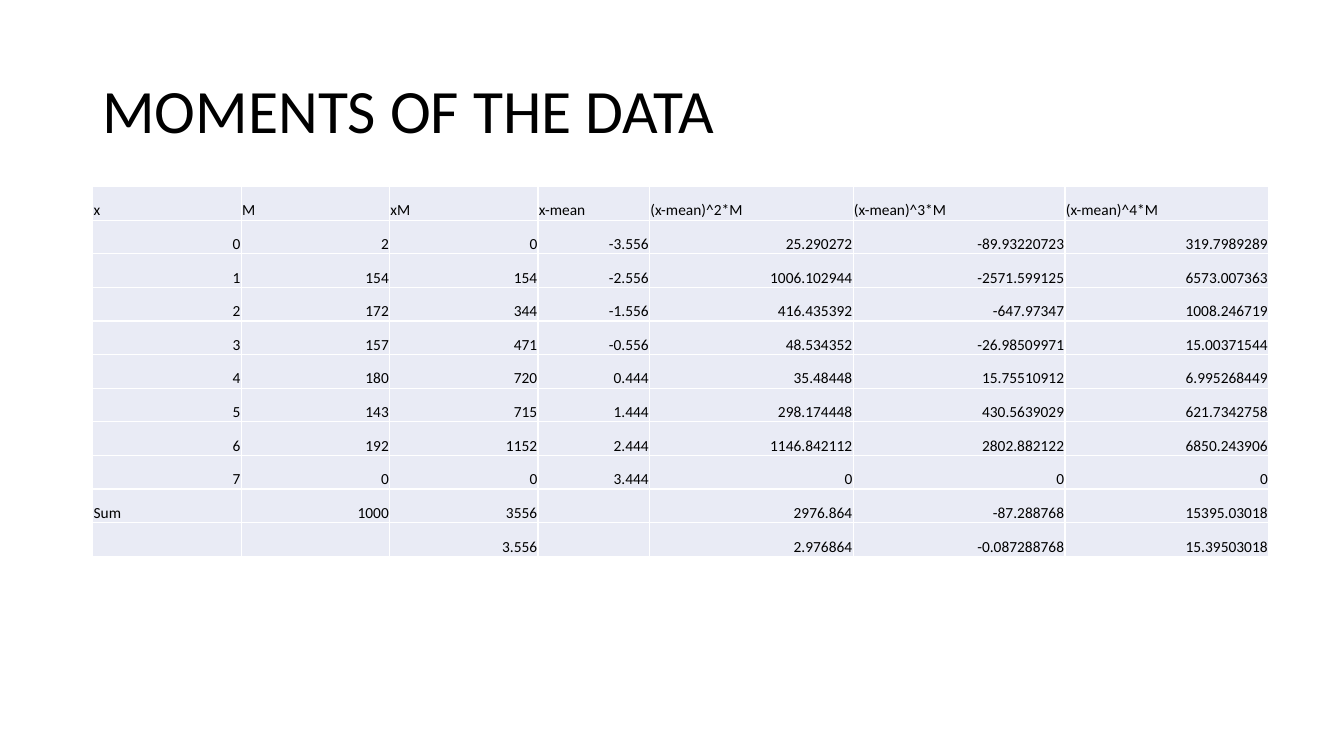
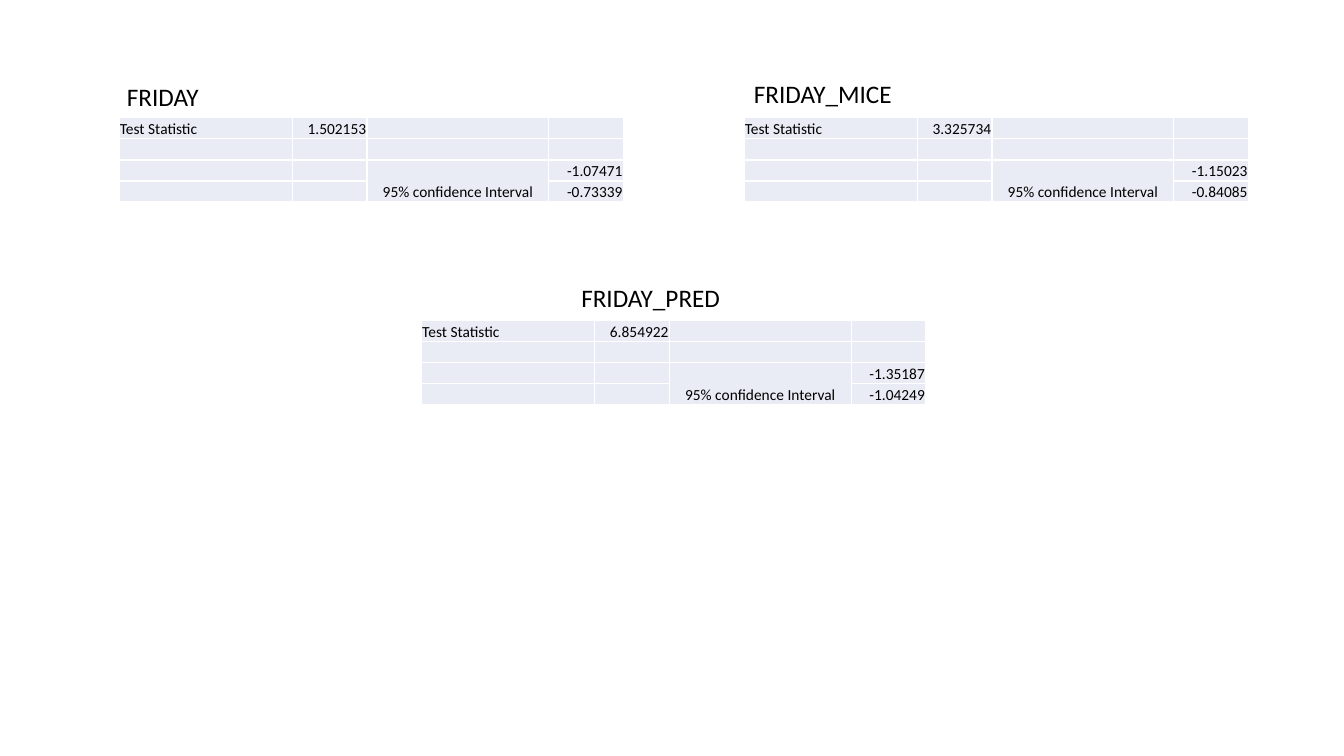
from lxml import etree
from pptx import Presentation
from pptx.dml.color import RGBColor
from pptx.enum import text as t
from pptx.oxml.ns import qn
from pptx.util import Cm, Pt

HUES = {"ink": "000000", "cell": "E9EBF5", "rule": "FFFFFF"}
FACE = "Calibri"

TITLE = "MOMENTS OF THE DATA"
MOMENTS = [
    ("x", "M", "xM", "x-mean", "(x-mean)^2*M", "(x-mean)^3*M", "(x-mean)^4*M"),
    ("0", "2", "0", "-3.556", "25.290272", "-89.93220723", "319.7989289"),
    ("1", "154", "154", "-2.556", "1006.102944", "-2571.599125", "6573.007363"),
    ("2", "172", "344", "-1.556", "416.435392", "-647.97347", "1008.246719"),
    ("3", "157", "471", "-0.556", "48.534352", "-26.98509971", "15.00371544"),
    ("4", "180", "720", "0.444", "35.48448", "15.75510912", "6.995268449"),
    ("5", "143", "715", "1.444", "298.174448", "430.5639029", "621.7342758"),
    ("6", "192", "1152", "2.444", "1146.842112", "2802.882122", "6850.243906"),
    ("7", "0", "0", "3.444", "0", "0", "0"),
    ("Sum", "1000", "3556", "", "2976.864", "-87.288768", "15395.03018"),
    ("", "", "3.556", "", "2.976864", "-0.087288768", "15.39503018"),
]
MOMENT_COLS = (3.74, 3.74, 3.74, 2.81, 5.13, 5.34, 5.13)

TESTS = [
    {"name": "FRIDAY", "box": (2.95, 1.93, 2.34, 1.02), "at": (3, 2.97),
     "stat": "1.502153", "span": ("-1.07471", "-0.73339")},
    {"name": "FRIDAY_MICE", "box": (18.75, 1.85, 4.01, 1.02), "at": (18.75, 2.97),
     "stat": "3.325734", "span": ("-1.15023", "-0.84085")},
    {"name": "FRIDAY_PRED", "box": (14.4, 6.98, 4.04, 1.02), "at": (10.62, 8.08),
     "stat": "6.854922", "span": ("-1.35187", "-1.04249")},
]
TEST_COLS = (4.37, 1.88, 4.58, 1.88)

CELL = {"margin_left": Cm(0.02), "margin_right": Cm(0.02), "margin_top": Cm(0.02),
        "margin_bottom": 0, "vertical_anchor": t.MSO_ANCHOR.BOTTOM}
PLAIN = {"first_row": False, "horz_banding": False}
HEAD = {"word_wrap": True, "vertical_anchor": t.MSO_ANCHOR.MIDDLE}
LABEL = {"word_wrap": False, "auto_size": t.MSO_AUTO_SIZE.SHAPE_TO_FIT_TEXT}


def apply(item, form):
    for key, val in form.items():
        setattr(item, key, val)


def hue(name):
    return RGBColor.from_string(HUES[name])


def write(para, words, size):
    run = para.add_run()
    run.text = words
    apply(run.font, {"size": Pt(size), "name": FACE})
    run.font.color.rgb = hue("ink")


def add_text(slide, words, box, size, form):
    frame = slide.shapes.add_textbox(*map(Cm, box)).text_frame
    apply(frame, form)
    para = frame.paragraphs[0]
    write(para, words, size)
    return para


def edge(cell):
    props = cell._tc.get_or_add_tcPr()
    for pos, side in enumerate(("lnL", "lnR", "lnT", "lnB")):
        line = etree.Element(qn("a:" + side), w=str(Pt(1)))
        fill = etree.SubElement(line, qn("a:solidFill"))
        etree.SubElement(fill, qn("a:srgbClr"), val=HUES["rule"])
        props.insert(pos, line)


def fill_cell(cell, words):
    apply(cell, CELL)
    cell.fill.solid()
    cell.fill.fore_color.rgb = hue("cell")
    edge(cell)
    para = cell.text_frame.paragraphs[0]
    if not words:
        etree.SubElement(para._p, qn("a:endParaRPr"), sz="1100")
        return
    write(para, words, 11)
    if cell.is_merge_origin:
        para.alignment = t.PP_ALIGN.CENTER
    elif words[-1].isdigit():
        para.alignment = t.PP_ALIGN.RIGHT


def add_grid(slide, rows, cols, at, high, merge=None):
    left, top = map(Cm, at)
    grid = slide.shapes.add_table(
        len(rows), len(cols), left, top, Cm(sum(cols)), Cm(high)).table
    apply(grid, PLAIN)
    for col, wide in zip(grid.columns, cols):
        col.width = Cm(wide)
    for row in grid.rows:
        row.height = Cm(high) // len(rows)
    if merge:
        first, last = merge
        grid.cell(*first).merge(grid.cell(*last))
    for r, row in enumerate(rows):
        for c, words in enumerate(row):
            cell = grid.cell(r, c)
            if not cell.is_spanned:
                fill_cell(cell, words)


def main():
    deck = Presentation()
    apply(deck, {"slide_width": Cm(33.87), "slide_height": Cm(19.05)})
    blank = deck.slide_layouts[6]

    slide = deck.slides.add_slide(blank)
    head = add_text(slide, TITLE, (2.33, 1.01, 29.21, 3.68), 44, HEAD)
    head.line_spacing = 0.9
    add_grid(slide, MOMENTS, MOMENT_COLS, (2.34, 4.7), 9.32)

    slide = deck.slides.add_slide(blank)
    for test in TESTS:
        add_text(slide, test["name"], test["box"], 18, LABEL)
        low, top = test["span"]
        rows = [
            ("Test Statistic", test["stat"], "", ""),
            ("", "", "", ""),
            ("", "", "95% confidence Interval", low),
            ("", "", "", top),
        ]
        add_grid(slide, rows, TEST_COLS, test["at"], 2.12, ((2, 2), (3, 2)))

    deck.save("out.pptx")


if __name__ == "__main__":
    main()
